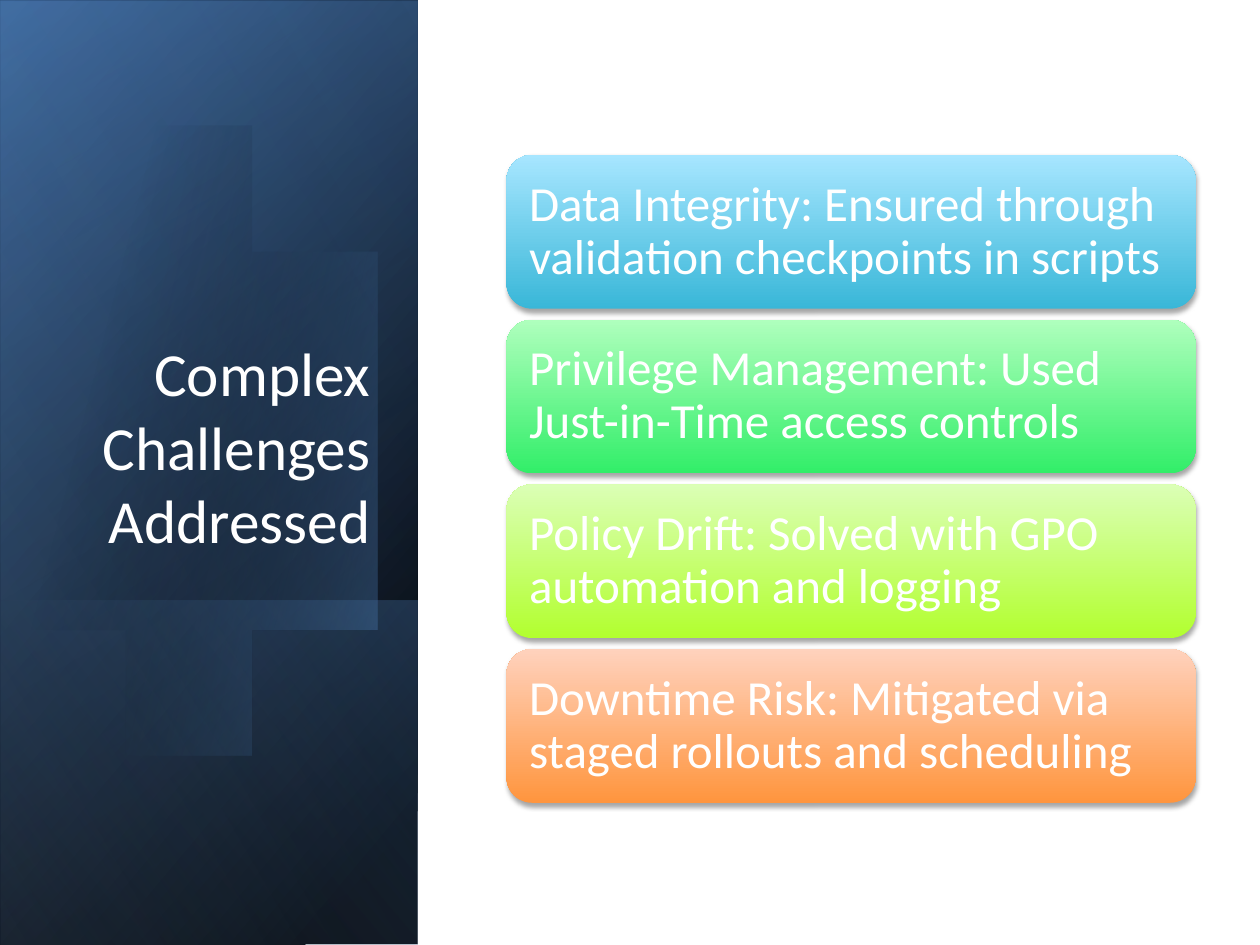
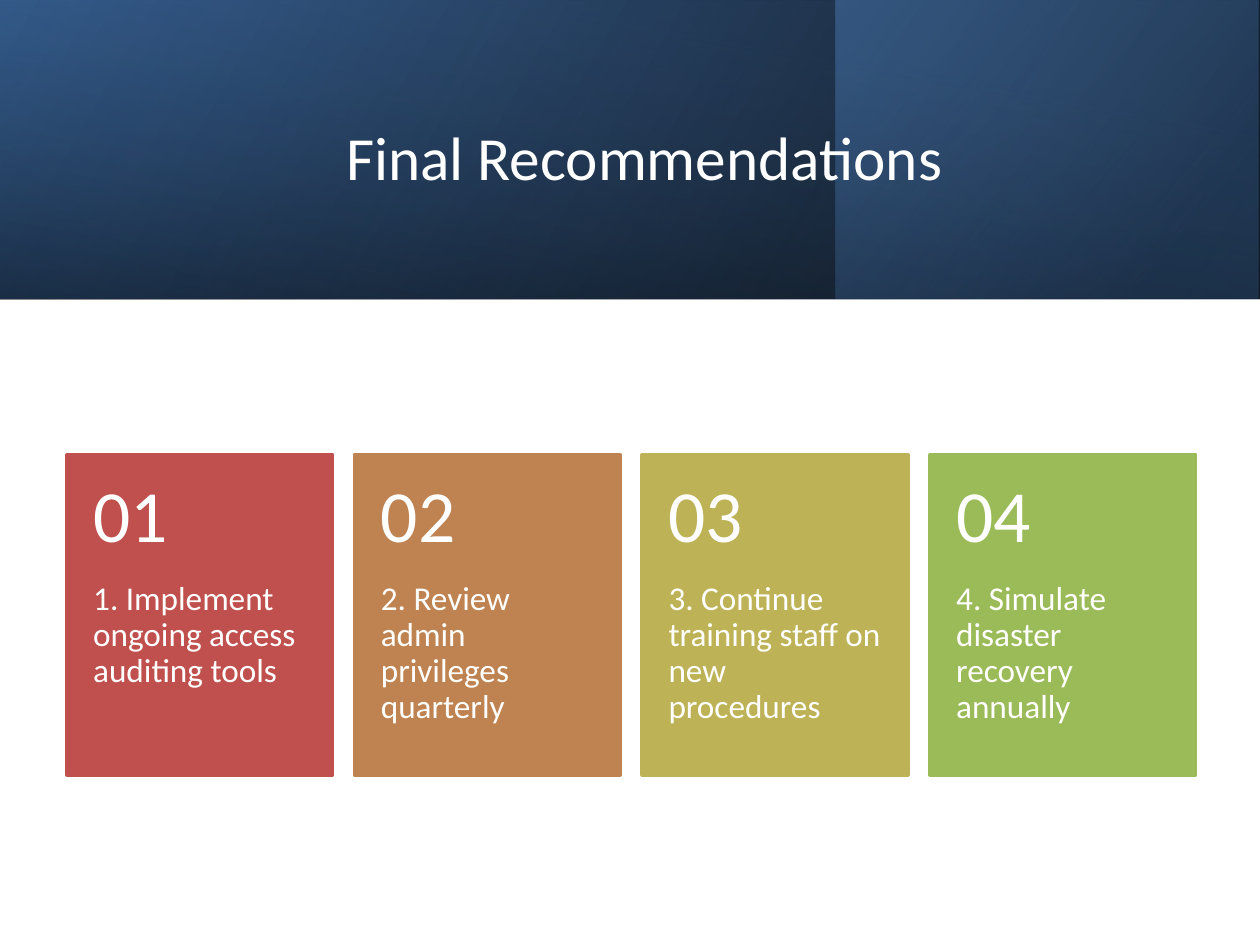
from lxml import etree
from pptx import Presentation
from pptx.dml.color import RGBColor
from pptx.enum.shapes import MSO_SHAPE
from pptx.enum.text import MSO_ANCHOR, PP_ALIGN
from pptx.oxml.ns import qn
from pptx.util import Inches, Pt

RECT, ROUNDED = MSO_SHAPE.RECTANGLE, MSO_SHAPE.ROUNDED_RECTANGLE
TOP, MIDDLE, BOTTOM = MSO_ANCHOR.TOP, MSO_ANCHOR.MIDDLE, MSO_ANCHOR.BOTTOM
LEFT, CENTER, RIGHT = PP_ALIGN.LEFT, PP_ALIGN.CENTER, PP_ALIGN.RIGHT

FONT = "Calibri"
COLORS = {
    "white": "FFFFFF", "black": "000000", "navy": "254061",
    "deep": "376092", "blue": "4F81BD", "pale": "95B3D7",
}
SIDE = (-2.09, 2.09, 7.5, 3.31)  # side band before its quarter turn

CHALLENGES = [
    ("Data Integrity: Ensured through validation checkpoints in scripts", "39B7D8", "A7E6FF"),
    ("Privilege Management: Used Just-in-Time access controls", "32EE69", "AFFFBD"),
    ("Policy Drift: Solved with GPO automation and logging", "B2FF2F", "DBFFB6"),
    ("Downtime Risk: Mitigated via staged rollouts and scheduling", "FF953E", "FFD2BD"),
]
RECOMMENDATIONS = [
    ("1. Implement ongoing access auditing tools", "C0504D"),
    ("2. Review admin privileges quarterly", "BE8351"),
    ("3. Continue training staff on new procedures", "BDB255"),
    ("4. Simulate disaster recovery annually", "9BBB59"),
]


def add_color(parent, color, alpha=100):
    clr = etree.SubElement(parent, qn("a:srgbClr"), val=color)
    if alpha < 100:
        etree.SubElement(clr, qn("a:alpha"), val=str(alpha * 1000))


def set_gradient(shape, angle, *stops):
    """Fill with stops of (position %, hex color[, opacity %]); angle is clockwise."""
    shape.fill.background()
    spPr = shape.fill._xPr
    grad = etree.Element(qn("a:gradFill"), rotWithShape="1")
    gs_list = etree.SubElement(grad, qn("a:gsLst"))
    for pos, *color in stops:
        add_color(etree.SubElement(gs_list, qn("a:gs"), pos=str(pos * 1000)), *color)
    etree.SubElement(grad, qn("a:lin"), ang=str(angle * 60000), scaled="0")
    spPr.replace(spPr.find(qn("a:noFill")), grad)
    shape.line.fill.background()
    shape.shadow.inherit = False


def add_soft_shadow(shape):
    effects = shape._element.spPr.find(qn("a:effectLst"))
    shadow = etree.SubElement(
        effects, qn("a:outerShdw"), blurRad=str(Pt(3.1)), dist=str(Pt(1.8)),
        dir=str(90 * 60000), rotWithShape="0")
    add_color(shadow, COLORS["black"], 35)


def add_shape(slide, kind, box):
    return slide.shapes.add_shape(kind, *map(Inches, box))


def add_band(slide, box, rotation, angle, *stops):
    """Add one mirrored gradient layer of a title band."""
    s = add_shape(slide, RECT, box)
    s.rotation = rotation
    s._element.spPr.xfrm.set("flipH", "1")
    set_gradient(s, angle, *stops)


def write(shape, text, size, align=LEFT, anchor=MIDDLE, insets=(0.1, 0.05, 0.1, 0.05),
          spacing=0.9):
    tf = shape.text_frame
    tf.word_wrap = True
    tf.vertical_anchor = anchor
    tf.margin_left, tf.margin_top, tf.margin_right, tf.margin_bottom = map(Inches, insets)
    p = tf.paragraphs[0]
    p.text = text
    p.alignment = align
    p.line_spacing = spacing
    p.font.name = FONT
    p.font.size = Pt(size)
    p.font.color.rgb = RGBColor.from_string(COLORS["white"])


def add_text(slide, box, text, size, **style):
    write(slide.shapes.add_textbox(*map(Inches, box)), text, size, **style)


def add_title(slide, box, text, align, anchor):
    add_text(slide, box, text, 35, align=align, anchor=anchor, spacing=1.0)


def curve(a, b, c, d, steps=24):
    """Return points along a cubic Bezier curve, without its start."""
    points = []
    for i in range(1, steps + 1):
        t = i / steps
        u = 1 - t
        points.append(tuple(
            u**3 * a[k] + 3 * u * u * t * b[k] + 3 * u * t * t * c[k] + t**3 * d[k]
            for k in (0, 1)))
    return points


def add_oval_glow(slide):
    start = (0.96, 1.14)
    right, bottom, low_left = (2.73, 2.9), (1.71, 5.57), (0.07, 5)
    high_left, shoulder = (-0.15, 1.54), (0.45, 1.18)
    points = (
        curve(start, (1.71, 1.22), (2.44, 1.92), right)
        + curve(right, (3.07, 4.12), (2.62, 5.31), bottom)
        + curve(bottom, (1.14, 5.74), (0.53, 5.5), low_left)
        + [(-0.03, 4.88), (-0.25, 1.66), high_left]
        + curve(high_left, (0.02, 1.37), (0.22, 1.25), shoulder)
        + curve(shoulder, (0.62, 1.13), (0.79, 1.12), start))
    builder = slide.shapes.build_freeform(*start, scale=Inches(1))
    builder.add_line_segments(points, close=True)
    set_gradient(builder.convert_to_shape(), 14,
                 (29, COLORS["black"], 0), (100, COLORS["blue"], 43))


def add_challenge(slide, top, text, dark, light):
    s = add_shape(slide, ROUNDED, (4.02, top, 5.47, 1.22))
    set_gradient(s, 270, (0, dark), (100, light))
    add_soft_shadow(s)
    write(s, text, 28, insets=(0.12,) * 4)


def add_recommendation(slide, left, number, text, color):
    top, width, number_height, text_height = 3.61, 2.11, 1.01, 1.52
    s = add_shape(slide, RECT, (left, top, width, 2.54))
    s.fill.solid()
    s.fill.fore_color.rgb = s.line.color.rgb = RGBColor.from_string(color)
    s.line.width = Pt(2)
    s.shadow.inherit = False
    add_text(slide, (left, top + number_height, width, text_height), text, 19,
             anchor=TOP, insets=(0.21, 0, 0.21, 0.36))
    add_text(slide, (left, top, width, number_height), f"{number:02d}", 42,
             insets=(0.21, 0.18, 0.21, 0.18))


def build_challenges(slide):
    black, blue = COLORS["black"], COLORS["blue"]
    add_band(slide, SIDE, 90, 50, (8, black), (100, COLORS["deep"]))
    add_band(slide, (-2.09, 2.11, 7.5, 3.31), 90, 30, (0, black, 0), (99, blue, 46))
    add_band(slide, (0.29, 4.48, 2.74, 3.31), 90, 130, (2, blue, 29), (100, black, 30))
    add_oval_glow(slide)
    add_band(slide, SIDE, 90, 120, (0, black, 0), (99, COLORS["pale"], 11))
    add_title(slide, (0.48, 1.84, 2.56, 2.62), "Complex Challenges Addressed", RIGHT, BOTTOM)
    for i, challenge in enumerate(CHALLENGES):
        add_challenge(slide, 1.23 + i * 1.307, *challenge)


def build_recommendations(slide):
    black, deep = COLORS["black"], COLORS["deep"]
    add_band(slide, (0, 0, 10, 2.37), 0, 330, (0, black, 96), (100, deep))
    add_band(slide, (6.63, 0, 3.36, 2.37), 0, 320,
             (19, COLORS["navy"], 68), (100, COLORS["blue"], 48))
    add_band(slide, (3.81, -3.81, 2.37, 10), 270, 350, (23, deep, 16), (99, black, 45))
    add_title(slide, (1.13, 0.38, 7.97, 1.72), "Final Recommendations", CENTER, MIDDLE)
    for i, recommendation in enumerate(RECOMMENDATIONS):
        add_recommendation(slide, 0.53 + i * 2.283, i + 1, *recommendation)


def main():
    prs = Presentation()
    prs.slide_width, prs.slide_height = Inches(10), Inches(7.5)
    blank = prs.slide_layouts[6]
    for build in (build_challenges, build_recommendations):
        build(prs.slides.add_slide(blank))
    prs.save("out.pptx")


if __name__ == "__main__":
    main()
